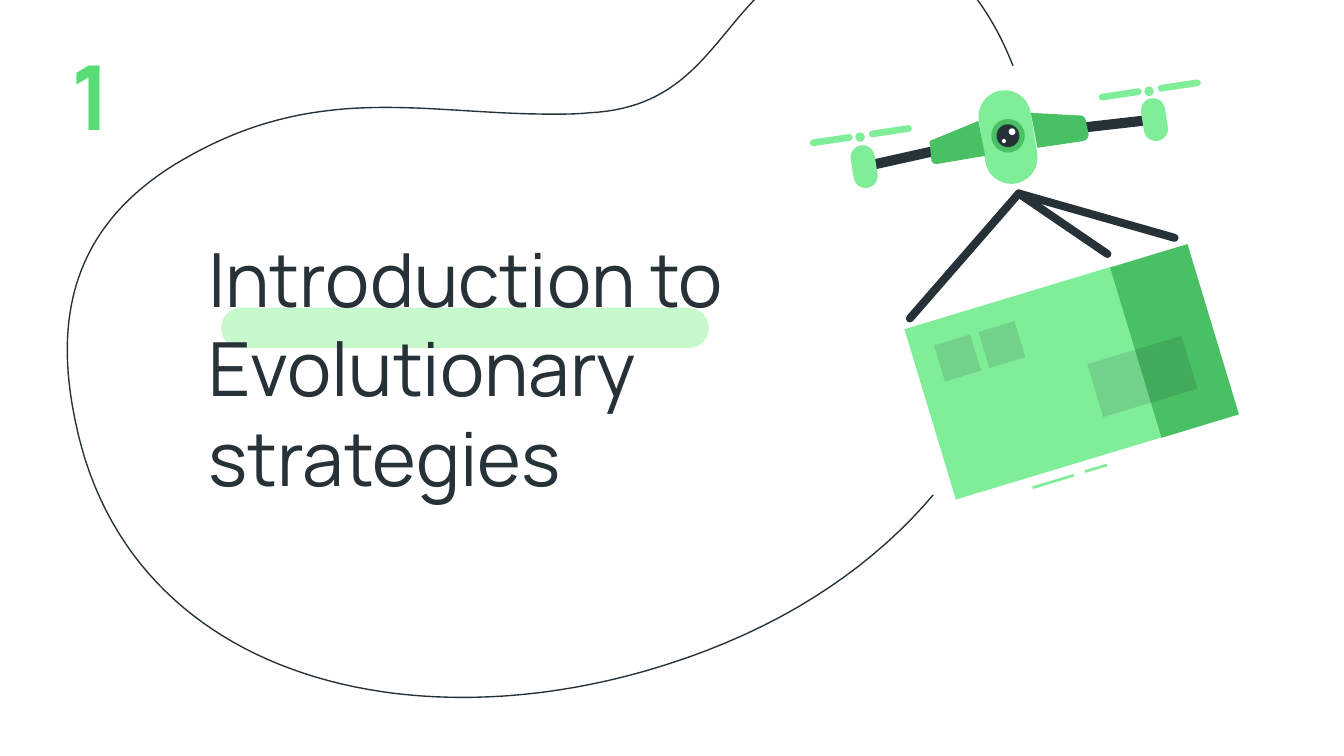
from lxml import etree
from pptx import Presentation
from pptx import util as u
from pptx.dml.color import RGBColor
from pptx.enum import shapes, text
from pptx.oxml.ns import qn

W = 10
H = W * 9 / 16
FONT = "Manrope"
C = {"ink": "263238", "mint": "80ED99", "green": "48C063", "pale": "C7F9CC",
     "number": "58DD76", "white": "FFFFFF", "shade": "1A2327"}

# Content
TITLE = "Introduction to Evolutionary strategies"
NUMBER = "1"

# Curves: start point, then cubic segments (6 numbers) or lines (2 numbers)
BLOB = [(6.51, -0.44), (6.36, -0.44, 6.19, -0.4, 6.01, -0.31),
        (5.34, 0.04, 5.29, 0.8, 4.38, 0.84), (4.29, 0.85, 4.2, 0.85, 4.11, 0.85),
        (3.67, 0.85, 3.27, 0.8, 2.87, 0.8), (2.4, 0.8, 1.94, 0.87, 1.43, 1.15),
        (0.56, 1.62, 0.39, 2.32, 0.56, 3.13), (0.84, 4.53, 2.05, 5.19, 3.44, 5.19),
        (4.04, 5.19, 4.66, 5.07, 5.26, 4.84), (7.17, 4.11, 8.05, 2.42, 7.62, 0.74),
        (7.48, 0.23, 7.12, -0.44, 6.51, -0.44)]
WINGS = [
    [(7.67, 0.84), (7.72, 1.1), (8.06, 1.05), (8.09, 1.04, 8.1, 1.02, 8.1, 1),
     (8.08, 0.9), (8.08, 0.88, 8.06, 0.86, 8.04, 0.86)],
    [(7.28, 0.9), (6.94, 1.04), (6.92, 1.04, 6.91, 1.06, 6.92, 1.08), (6.93, 1.19),
     (6.93, 1.21, 6.95, 1.22, 6.97, 1.22), (7.33, 1.16)],
]

# Parcel parts: left corner, length, depth, colour, opacity in percent
ALONG, DOWN = (0.96, -0.29), (0.29, 0.96)
PARCEL = [
    (7.68, 3.62, 0.32, 0.02, "mint", 100), (8.07, 3.5, 0.17, 0.02, "mint", 100),
    (6.73, 2.45, 1.6, 1.32, "mint", 100), (8.26, 1.99, 0.6, 1.32, "green", 100),
    (8.09, 2.71, 0.73, 0.41, "shade", 13),
    (6.95, 2.57, 0.28, 0.28, "shade", 13), (7.28, 2.47, 0.28, 0.28, "shade", 13),
]

# Drone parts
TILT = -9
BODY = (7.5, 1.02, 0.39, 0.7)
PODS = [(8.59, 0.89, 0.18, 0.32), (6.43, 1.24, 0.18, 0.32)]
HUBS = [(8.55, 0.68), (6.4, 1.02)]
BLADE_STARTS, BLADE = (-0.35, 0.09), (0.27, -0.04)
ARMS = [(8.05, 0.95, 8.58, 0.89), (6.43, 1.24, 6.97, 1.12)]
EYE = [(7.5, 1.01, 0.25, "green"), (7.5, 1.01, 0.17, "ink"),
       (7.53, 0.98, 0.05, "white"), (7.47, 1.05, 0.03, "white")]
HOOK = (7.58, 1.44)
ROPE_ENDS = [(8.74, 1.77), (8.24, 1.89), (6.77, 2.37)]


def rgb(name):
    return RGBColor.from_string(C[name])


def paint(sp, fill=None, opacity=100):
    sp.shadow.inherit = False
    sp.line.fill.background()
    if fill is None:
        sp.fill.background()
        return sp
    sp.fill.solid()
    sp.fill.fore_color.rgb = rgb(fill)
    if opacity < 100:
        color = sp._element.spPr.find(".//" + qn("a:srgbClr"))
        etree.SubElement(color, qn("a:alpha"), val=str(opacity * 1000))
    return sp


def preset(parent, kind, cx, cy, w, h, fill):
    sp = parent.add_shape(kind, u.Inches(cx - w / 2), u.Inches(cy - h / 2),
                          u.Inches(w), u.Inches(h))
    return paint(sp, fill)


def oval(parent, cx, cy, d, fill):
    return preset(parent, shapes.MSO_SHAPE.OVAL, cx, cy, d, d, fill)


def capsule(parent, cx, cy, w, h, fill, turn=0):
    sp = preset(parent, shapes.MSO_SHAPE.ROUNDED_RECTANGLE, cx, cy, w, h, fill)
    sp.adjustments[0] = 0.5
    sp.rotation = turn


def flatten(path, steps):
    points = [path[0]]
    for seg in path[1:]:
        if len(seg) == 2:
            points.append(seg)
            continue
        ctrl = [points[-1], seg[:2], seg[2:4], seg[4:]]
        for i in range(1, steps + 1):
            t = i / steps
            b = ((1 - t) ** 3, 3 * t * (1 - t) ** 2, 3 * t * t * (1 - t), t ** 3)
            points.append(tuple(sum(k * p[a] for k, p in zip(b, ctrl)) for a in (0, 1)))
    return points


def outline(parent, path, fill=None, opacity=100, steps=8):
    points = [(u.Inches(x), u.Inches(y)) for x, y in flatten(path, steps)]
    fb = parent.build_freeform(*points[0])
    fb.add_line_segments(points[1:], close=True)
    return paint(fb.convert_to_shape(), fill, opacity)


def bar(parent, x1, y1, x2, y2, width, color, cap="rnd"):
    cn = parent.add_connector(shapes.MSO_CONNECTOR.STRAIGHT,
                              *(u.Inches(v) for v in (x1, y1, x2, y2)))
    cn.line.color.rgb = rgb(color)
    cn.line.width = u.Pt(width)
    cn._element.spPr.find(qn("a:ln")).set("cap", cap)
    etree.SubElement(cn._element.spPr, qn("a:effectLst"))


def write(tf, words, size, color, anchor, bold=False):
    tf.auto_size = text.MSO_AUTO_SIZE.NONE
    tf.vertical_anchor = anchor
    tf.margin_left = tf.margin_right = tf.margin_top = tf.margin_bottom = u.Inches(0.1)
    p = tf.paragraphs[0]
    p.alignment = text.PP_ALIGN.LEFT
    r = p.add_run()
    r.text = words
    r.font.size, r.font.name, r.font.bold = u.Pt(size), FONT, bold
    r.font.color.rgb = rgb(color)


prs = Presentation()
prs.slide_width, prs.slide_height = u.Inches(W), u.Inches(H)
s = prs.slides.add_slide(prs.slide_layouts[5])
s.background.fill.solid()
s.background.fill.fore_color.rgb = rgb("white")

# Background curve and title highlight
blob = outline(s.shapes, BLOB, steps=40)
blob.line.color.rgb = rgb("ink")
blob.line.width = u.Pt(0.75)
capsule(s.shapes, 3.46, 2.44, 3.63, 0.3, "pale")

# Title, brought in front of its highlight
title = s.shapes.title
title.left, title.top, title.width, title.height = map(u.Inches, (1.45, 1.63, 5.25, 3.31))
title.text_frame.word_wrap = True
write(title.text_frame, TITLE, 40, "ink", text.MSO_ANCHOR.TOP)
s.shapes._spTree.append(title._element)

# Parcel on a white disc
art = s.shapes.add_group_shape().shapes
oval(art, 7.8, 2.19, 3.44, "white")
for x, y, length, depth, fill, opacity in PARCEL:
    ax, ay = (length * v for v in ALONG)
    dx, dy = (depth * v for v in DOWN)
    outline(art, [(x, y), (x + ax, y + ay), (x + ax + dx, y + ay + dy), (x + dx, y + dy)],
            fill, opacity)

# Drone
capsule(art, *BODY, "mint", TILT)
for part in EYE:
    oval(art, *part)
for arm, pod, wing, (hx, hy) in zip(ARMS, PODS, WINGS, HUBS):
    bar(art, *arm, 5.4, "ink", "flat")
    capsule(art, *pod, "mint", TILT)
    outline(art, wing, "green")
    oval(art, hx, hy, 0.07, "mint")
    for start in BLADE_STARTS:
        x, y = hx + start, hy - 0.15 * start - 0.01
        bar(art, x, y, x + BLADE[0], y + BLADE[1], 3.6, "mint")

# Ropes
for end in ROPE_ENDS:
    bar(art, *HOOK, *end, 4.3, "ink")

# Section number
box = s.shapes.add_textbox(*map(u.Inches, (0.43, 0.25, 0.45, 0.91)))
box.text_frame.word_wrap = False
write(box.text_frame, NUMBER, 48, "number", text.MSO_ANCHOR.MIDDLE, bold=True)

prs.save("out.pptx")
